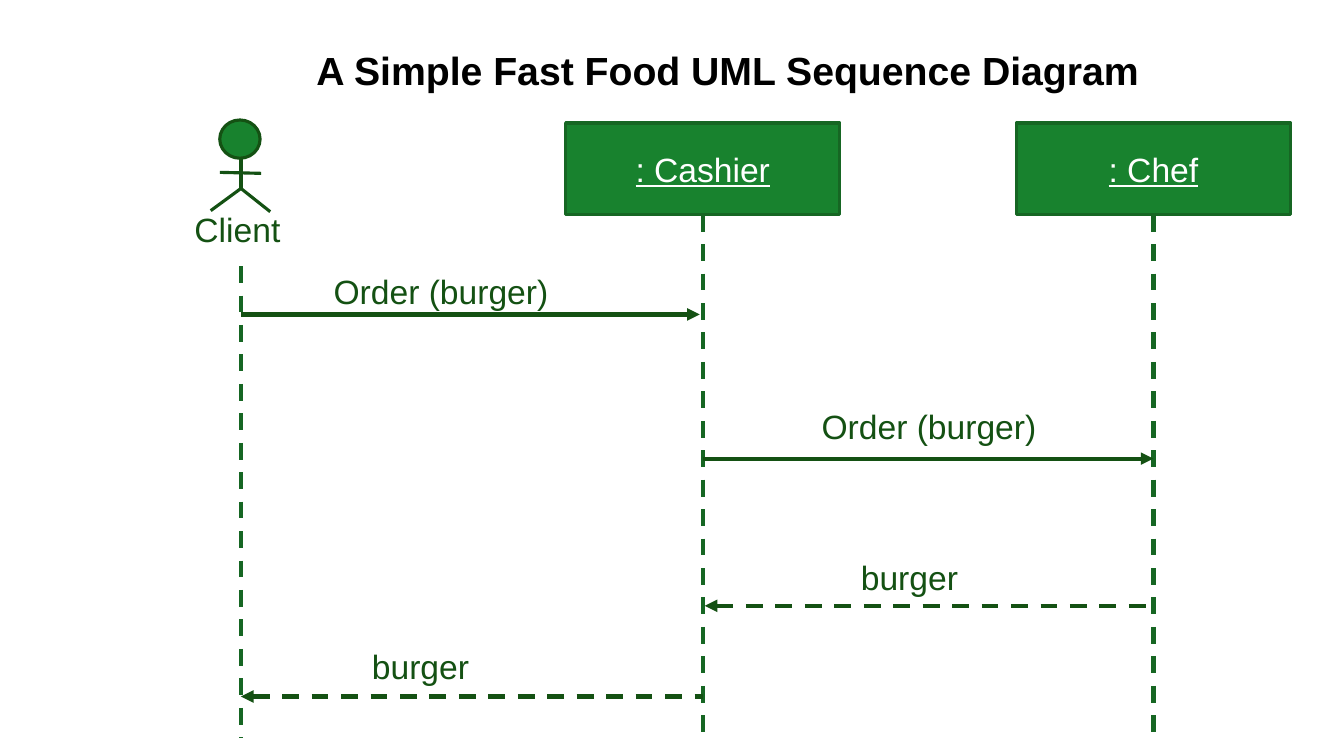
import pptx
import pptx.util
import pptx.dml.color
import pptx.enum.dml
import pptx.enum.shapes
import pptx.enum.text
import pptx.oxml
from pptx.util import Inches

COLORS = {"fill": "18822E", "edge": "166623", "ink": "145113",
          "white": "FFFFFF", "black": "000000"}
FONT = "Arial"
CLIENT_X, CASHIER_X, CHEF_X = 2.39, 6.97, 11.44
LIFE_BOTTOM = 7.32
HEAD_TOP, HEAD_W, HEAD_H = 1.22, 2.72, 0.91


def rgb(name):
    return pptx.dml.color.RGBColor.from_string(COLORS[name])


def add_run(p, text, size, color, bold=False, underline=False):
    r = p.add_run()
    r.text = text
    r.font.name = FONT
    r.font.size = pptx.util.Pt(size)
    r.font.color.rgb = rgb(color)
    r.font.bold = bold
    r.font.underline = underline


def add_label(s, text, x, y, w, h=0.5, size=24, color="ink", bold=False, center=False):
    tf = s.shapes.add_textbox(Inches(x), Inches(y), Inches(w), Inches(h)).text_frame
    tf.word_wrap = True
    p = tf.paragraphs[0]
    if center:
        p.alignment = pptx.enum.text.PP_ALIGN.CENTER
    add_run(p, text, size, color, bold)


def add_line(s, x1, y1, x2, y2, color="ink", width=3, dashed=False, arrow=None):
    c = s.shapes.add_connector(pptx.enum.shapes.MSO_CONNECTOR.STRAIGHT,
                               Inches(x1), Inches(y1), Inches(x2), Inches(y2))
    c.line.color.rgb = rgb(color)
    c.line.width = pptx.util.Pt(width)
    if dashed:
        c.line.dash_style = pptx.enum.dml.MSO_LINE.DASH
    if arrow:
        end = pptx.oxml.ns.qn("a:" + arrow)
        c.line._get_or_add_ln().append(c._element.makeelement(end, {"type": "triangle"}))
    spPr = c._element.spPr
    spPr.append(spPr.makeelement(pptx.oxml.ns.qn("a:effectLst"), {}))


def add_filled(s, kind, x, y, w, h, edge):
    sp = s.shapes.add_shape(kind, Inches(x), Inches(y), Inches(w), Inches(h))
    sp.shadow.inherit = False
    sp.fill.solid()
    sp.fill.fore_color.rgb = rgb("fill")
    sp.line.color.rgb = rgb(edge)
    sp.line.width = pptx.util.Pt(2.25)
    return sp


def add_lifeline(s, x, top):
    add_line(s, x, top, x, LIFE_BOTTOM, "edge", dashed=True)


def add_participant(s, name, x):
    add_lifeline(s, x, HEAD_TOP + HEAD_H)
    sp = add_filled(s, pptx.enum.shapes.MSO_SHAPE.RECTANGLE,
                    x - HEAD_W / 2, HEAD_TOP, HEAD_W, HEAD_H, "edge")
    tf = sp.text_frame
    tf.vertical_anchor = pptx.enum.text.MSO_ANCHOR.MIDDLE
    p = tf.paragraphs[0]
    p.alignment = pptx.enum.text.PP_ALIGN.CENTER
    add_run(p, name, 24, "white", underline=True)


def add_actor(s, name, x):
    add_lifeline(s, x, 2.64)
    add_filled(s, pptx.enum.shapes.MSO_SHAPE.OVAL, x - 0.21, 1.19, 0.4, 0.38, "ink")
    limbs = [(0, 1.57, 0, 1.87), (-0.21, 1.71, 0.2, 1.72),
             (0, 1.87, -0.3, 2.09), (0, 1.87, 0.29, 2.1)]
    for dx1, y1, dx2, y2 in limbs:
        add_line(s, x + dx1, y1, x + dx2, y2, width=2.25)
    add_label(s, name, 1.45, 2.02, 1.81, center=True)


def add_message(s, text, left, right, y, label_x, label_y, label_w, reply=False):
    add_line(s, left, y, right, y, dashed=reply, arrow="headEnd" if reply else "tailEnd")
    add_label(s, text, label_x, label_y, label_w)


def main():
    prs = pptx.Presentation()
    prs.slide_width, prs.slide_height = Inches(13.33), Inches(7.5)
    s = prs.slides.add_slide(prs.slide_layouts[6])
    add_actor(s, "Client", CLIENT_X)
    add_participant(s, ": Cashier", CASHIER_X)
    add_participant(s, ": Chef", CHEF_X - 0.09 + 0.09)
    add_message(s, "Order (burger)", CLIENT_X, 6.94, 3.12, 3.21, 2.64, 2.91)
    add_message(s, "Order (burger)", CASHIER_X, CHEF_X, 4.55, 8.05, 3.98, 2.91)
    add_message(s, "burger", 6.99, 11.46, 6.01, 8.44, 5.48, 1.8, reply=True)
    add_message(s, "burger", CLIENT_X, CASHIER_X, 6.91, 3.59, 6.36, 1.91, reply=True)
    add_label(s, "A Simple Fast Food UML Sequence Diagram", 3.04, 0.41, 8.68, 0.57,
              size=28, color="black", bold=True)
    prs.save("out.pptx")


if __name__ == "__main__":
    main()
